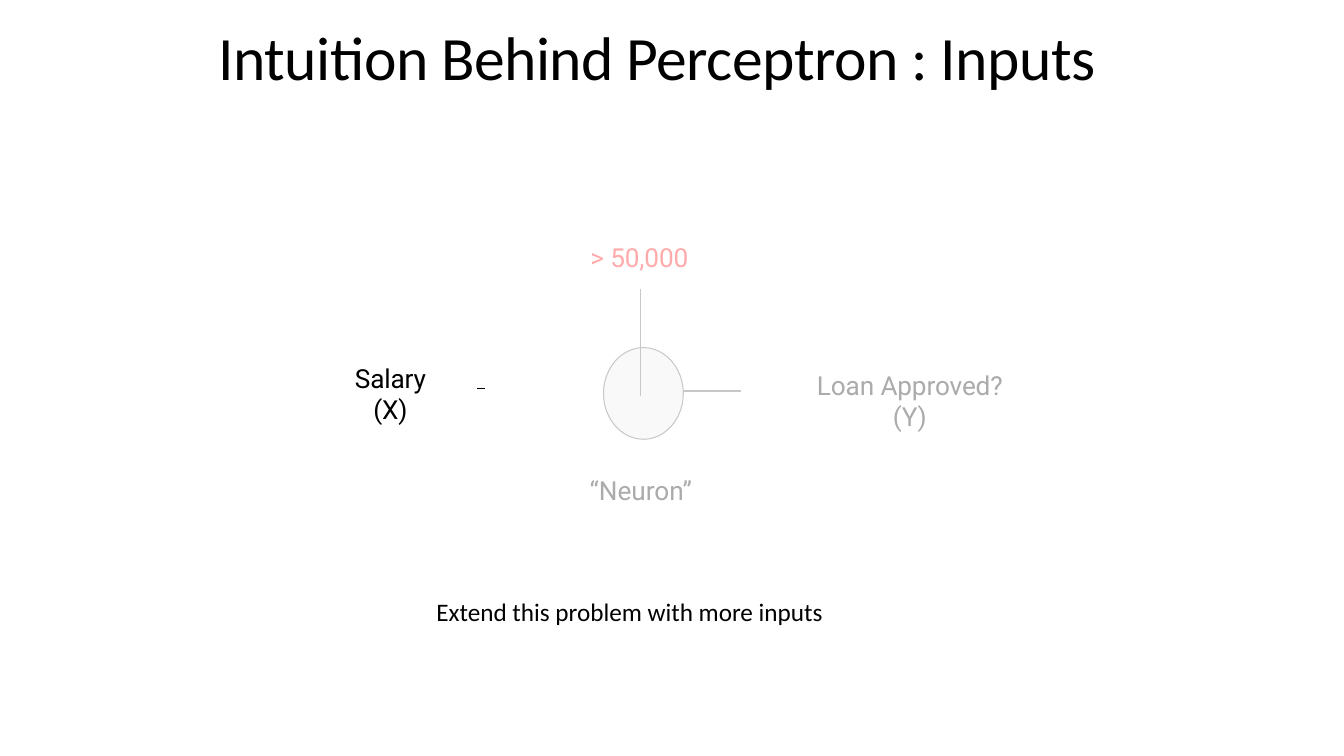
from lxml import etree
from pptx import Presentation
from pptx.dml.color import RGBColor
from pptx.enum.shapes import MSO_CONNECTOR, MSO_SHAPE
from pptx.enum.text import MSO_ANCHOR, PP_ALIGN
from pptx.oxml.ns import qn
from pptx.util import Cm, Pt

# Content: lengths in cm, text sizes and line widths in points
LEFT, CENTER = PP_ALIGN.LEFT, PP_ALIGN.CENTER
BLACK, RED, GREY, PALE, WHITE = "000000", "FF0000", "595959", "EEEEEE", "FFFFFF"

# lines, left, middle, width, height, font, size, colour, alignment, line spacing, tracking
TITLE = (["Intuition Behind Perceptron : Inputs"],
         5.51, 1.4, 22.23, 1.98, "Calibri", 44, BLACK, LEFT, None, -0.4)
DIAGRAM_LABELS = [
    (["> 50,000"], 14.88, 6.51, 3, 0.8, "Roboto", 18.7, RED, LEFT, 20.6, -0.1),
    (["Loan Approved?", "(Y)"], 19.73, 10.1, 6.4, 1.6, "Roboto", 18.7, BLACK, CENTER, 22, -0.1),
    (["“Neuron”"], 14.86, 12.35, 3.2, 0.8, "Roboto", 18.7, BLACK, LEFT, 22, 0),
]
FRONT_LABELS = [
    (["Salary", "(X)"], 8.34, 9.91, 3, 1.6, "Roboto", 18.7, BLACK, CENTER, 22.2, -0.1),
    (["Extend this problem with more inputs"],
     11, 15.4, 10.5, 1.02, "Calibri", 18, BLACK, LEFT, None, 0),
]

NEURON = (15.21, 8.76, 2.01, 2.31)  # left, top, width, height
VEIL = (14.5, 5.15, 11.2, 8.86)
VEIL_OPACITY = 67

# start x, start y, end x, end y, colour, width
DIAGRAM_LINES = [
    (17.22, 9.86, 18.67, 9.86, GREY, 1.5),
    (16.13, 7.29, 16.13, 9.98, GREY, 0.75),
]
SALARY_DASH = (12.03, 9.79, 12.21, 9.79, BLACK, 1)


def color(hex_string):
    return RGBColor.from_string(hex_string)


def add_label(slide, lines, left, middle, width, height, font, size, ink,
              alignment, line_spacing, tracking):
    box = slide.shapes.add_textbox(Cm(left), Cm(middle - height / 2), Cm(width), Cm(height))
    frame = box.text_frame
    frame.word_wrap = True
    frame.vertical_anchor = MSO_ANCHOR.MIDDLE
    frame.margin_left = frame.margin_right = frame.margin_top = frame.margin_bottom = 0
    frame.text = "\n".join(lines)
    for paragraph in frame.paragraphs:
        paragraph.alignment = alignment
        if line_spacing:
            paragraph.line_spacing = Pt(line_spacing)
        paragraph.font.name = font
        paragraph.font.size = Pt(size)
        paragraph.font.color.rgb = color(ink)
        for run in paragraph.runs:
            run.font._element.set("spc", str(round(tracking * 100)))


def add_filled(slide, preset, bounds, fill):
    shape = slide.shapes.add_shape(preset, *map(Cm, bounds))
    shape.shadow.inherit = False
    shape.fill.solid()
    shape.fill.fore_color.rgb = color(fill)
    shape.line.fill.background()
    return shape


def add_line(slide, start_x, start_y, end_x, end_y, ink, width):
    line = slide.shapes.add_connector(
        MSO_CONNECTOR.STRAIGHT, Cm(start_x), Cm(start_y), Cm(end_x), Cm(end_y))
    line.line.color.rgb = color(ink)
    line.line.width = Pt(width)
    etree.SubElement(line._element.spPr, qn("a:effectLst"))


def main():
    presentation = Presentation()
    presentation.slide_width, presentation.slide_height = Cm(33.87), Cm(19.05)
    slide = presentation.slides.add_slide(presentation.slide_layouts[6])

    # Title and the neuron diagram
    add_label(slide, *TITLE)
    for label in DIAGRAM_LABELS:
        add_label(slide, *label)
    neuron = add_filled(slide, MSO_SHAPE.OVAL, NEURON, PALE)
    neuron.line.color.rgb = color(GREY)
    neuron.line.width = Pt(0.75)
    for line in DIAGRAM_LINES:
        add_line(slide, *line)

    # Translucent veil that fades everything but the input
    veil = add_filled(slide, MSO_SHAPE.RECTANGLE, VEIL, WHITE)
    veil_color = veil._element.spPr.find(qn("a:solidFill")).find(qn("a:srgbClr"))
    etree.SubElement(veil_color, qn("a:alpha"), val=str(VEIL_OPACITY * 1000))

    # Input and closing remark, in front of the veil
    for label in FRONT_LABELS:
        add_label(slide, *label)
    add_line(slide, *SALARY_DASH)

    presentation.save("out.pptx")


if __name__ == "__main__":
    main()
